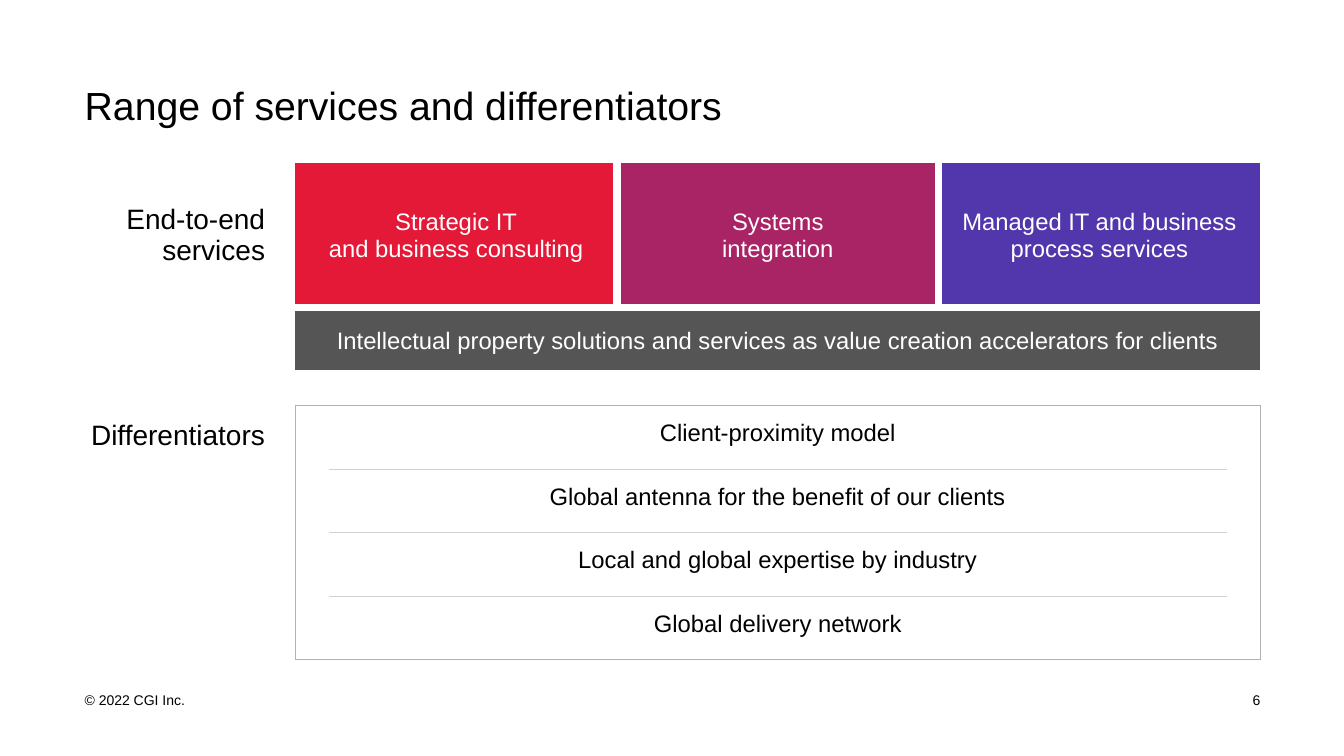
from lxml import etree
from pptx import Presentation
from pptx.dml.color import RGBColor
from pptx.enum import text
from pptx.oxml.ns import qn
from pptx.util import Inches, Pt

BLACK = RGBColor(0x00, 0x00, 0x00)
WHITE = RGBColor(0xFF, 0xFF, 0xFF)
RED = RGBColor(0xE3, 0x19, 0x37)
MAGENTA = RGBColor(0xA8, 0x24, 0x65)
PURPLE = RGBColor(0x52, 0x36, 0xAB)
DARK_GREY = RGBColor(0x55, 0x55, 0x55)
FRAME_GREY = RGBColor(0xB3, 0xB3, 0xB3)
RULE_GREY = RGBColor(0xD2, 0xD2, 0xD2)

FONT = "Arial"
LEFT, CENTER, RIGHT = text.PP_ALIGN.LEFT, text.PP_ALIGN.CENTER, text.PP_ALIGN.RIGHT
TOP, MIDDLE = text.MSO_ANCHOR.TOP, text.MSO_ANCHOR.MIDDLE

COLUMNS = [2.09, 0.33, 2.86, 3.19, 2.86, 0.33]
ROWS = [1.43, 0.66, 0.31] + [0.63] * 4
# First column, last column, wording, fill
SERVICES = [
    (1, 2, "Strategic IT\nand business consulting", RED),
    (3, 3, "Systems\nintegration", MAGENTA),
    (4, 5, "Managed IT and business process services", PURPLE),
]
ACCELERATORS = ("Intellectual property solutions and services as value creation "
                "accelerators for clients")
DIFFERENTIATORS = [
    "Client-proximity model",
    "Global antenna for the benefit of our clients",
    "Local and global expertise by industry",
    "Global delivery network",
]
FIRST_DIFF = 3


def write(tf, wording, size, color, align):
    p = tf.paragraphs[0]
    p.alignment = align
    for i, line in enumerate(wording.split("\n")):
        if i:
            p.add_line_break()
        r = p.add_run()
        r.text = line
        r.font.name, r.font.size = FONT, Pt(size)
        r.font.color.rgb = color


def add_text(s, left, top, width, height, wording, size, align=LEFT):
    tf = s.shapes.add_textbox(Inches(left), Inches(top), Inches(width), Inches(height)).text_frame
    tf.word_wrap = True
    tf.vertical_anchor = MIDDLE
    tf.margin_left = tf.margin_right = tf.margin_top = tf.margin_bottom = 0
    write(tf, wording, size, BLACK, align)


def clear_cell(cell):
    """Remove the margins, borders and fill that the table style gives."""
    cell.margin_left = cell.margin_right = cell.margin_top = cell.margin_bottom = 0
    tc_pr = cell._tc.get_or_add_tcPr()
    for side in "LRTB":
        ln = etree.SubElement(tc_pr, qn(f"a:ln{side}"))
        etree.SubElement(ln, qn("a:noFill"))
    cell.fill.background()


def set_border(cell, side, color, width):
    ln = cell._tc.tcPr.find(qn(f"a:ln{side}"))
    ln.set("w", str(Pt(width)))
    ln.remove(ln[0])
    fill = etree.SubElement(ln, qn("a:solidFill"))
    etree.SubElement(fill, qn("a:srgbClr"), val=str(color))


def horizontal_border(table, row, columns, color, width):
    """Draw the border above the given row on both cells that share it."""
    for c in columns:
        set_border(table.cell(row - 1, c), "B", color, width)
        if row < len(ROWS):
            set_border(table.cell(row, c), "T", color, width)


def vertical_border(table, column, rows, color, width):
    """Draw the border left of the given column on both cells that share it."""
    for r in rows:
        set_border(table.cell(r, column - 1), "R", color, width)
        if column < len(COLUMNS):
            set_border(table.cell(r, column), "L", color, width)


def fill_cell(table, row, first, last, wording, color=BLACK, fill=None, anchor=MIDDLE,
              size=17, align=CENTER, right=0.15, last_row=None):
    """Merge the given range of cells, then write and colour it."""
    cell = table.cell(row, first)
    end = table.cell(row if last_row is None else last_row, last)
    if end is not cell and (first != last or last_row is not None):
        cell.merge(end)
    cell.margin_left = 0 if align == RIGHT else Inches(0.15)
    cell.margin_right = Inches(right)
    cell.margin_top = cell.margin_bottom = Inches(0.15)
    cell.vertical_anchor = anchor
    if fill is not None:
        cell.fill.solid()
        cell.fill.fore_color.rgb = fill
    write(cell.text_frame, wording, size, color, align)


def add_borders(table):
    boxes, inner = range(1, 6), range(2, 5)
    diff_rows = range(FIRST_DIFF, len(ROWS))
    for row in (1, 2):
        horizontal_border(table, row, boxes, WHITE, 6)
    for column in (3, 4):
        vertical_border(table, column, [0], WHITE, 6)
    for row in diff_rows[1:]:
        horizontal_border(table, row, inner, RULE_GREY, 0.25)
    for row in (FIRST_DIFF, len(ROWS)):
        horizontal_border(table, row, boxes, FRAME_GREY, 1)
    for column in (1, len(COLUMNS)):
        vertical_border(table, column, diff_rows, FRAME_GREY, 1)


def add_services_table(s):
    table = s.shapes.add_table(len(ROWS), len(COLUMNS), Inches(0.84), Inches(1.62),
                               Inches(sum(COLUMNS)), Inches(sum(ROWS))).table
    table.first_row = table.horz_banding = False
    for column, width in zip(table.columns, COLUMNS):
        column.width = Inches(width)
    for row, height in zip(table.rows, ROWS):
        row.height = Inches(height)
    for cell in table.iter_cells():
        clear_cell(cell)
    add_borders(table)

    label = dict(size=20, align=RIGHT, right=0.3)
    fill_cell(table, 0, 0, 0, "End-to-end services", **label)
    for first, last, wording, fill in SERVICES:
        fill_cell(table, 0, first, last, wording, WHITE, fill)
    fill_cell(table, 1, 1, 5, ACCELERATORS, WHITE, DARK_GREY)
    table.cell(2, 2).merge(table.cell(2, 4))
    fill_cell(table, FIRST_DIFF, 0, 0, "Differentiators", anchor=TOP,
              last_row=len(ROWS) - 1, **label)
    for row, wording in enumerate(DIFFERENTIATORS, FIRST_DIFF):
        fill_cell(table, row, 2, 4, wording, anchor=TOP)


def main():
    prs = Presentation()
    prs.slide_width, prs.slide_height = Inches(13.33), Inches(7.5)
    s = prs.slides.add_slide(prs.slide_layouts[6])
    add_text(s, 0.84, 0.75, 11.68, 0.58, "Range of services and differentiators", 28)
    add_services_table(s)
    add_text(s, 0.84, 6.85, 2.1, 0.19, "© 2022 CGI Inc.", 10)
    add_text(s, 12.21, 6.85, 0.29, 0.19, "6", 10, RIGHT)
    prs.save("out.pptx")


if __name__ == "__main__":
    main()
